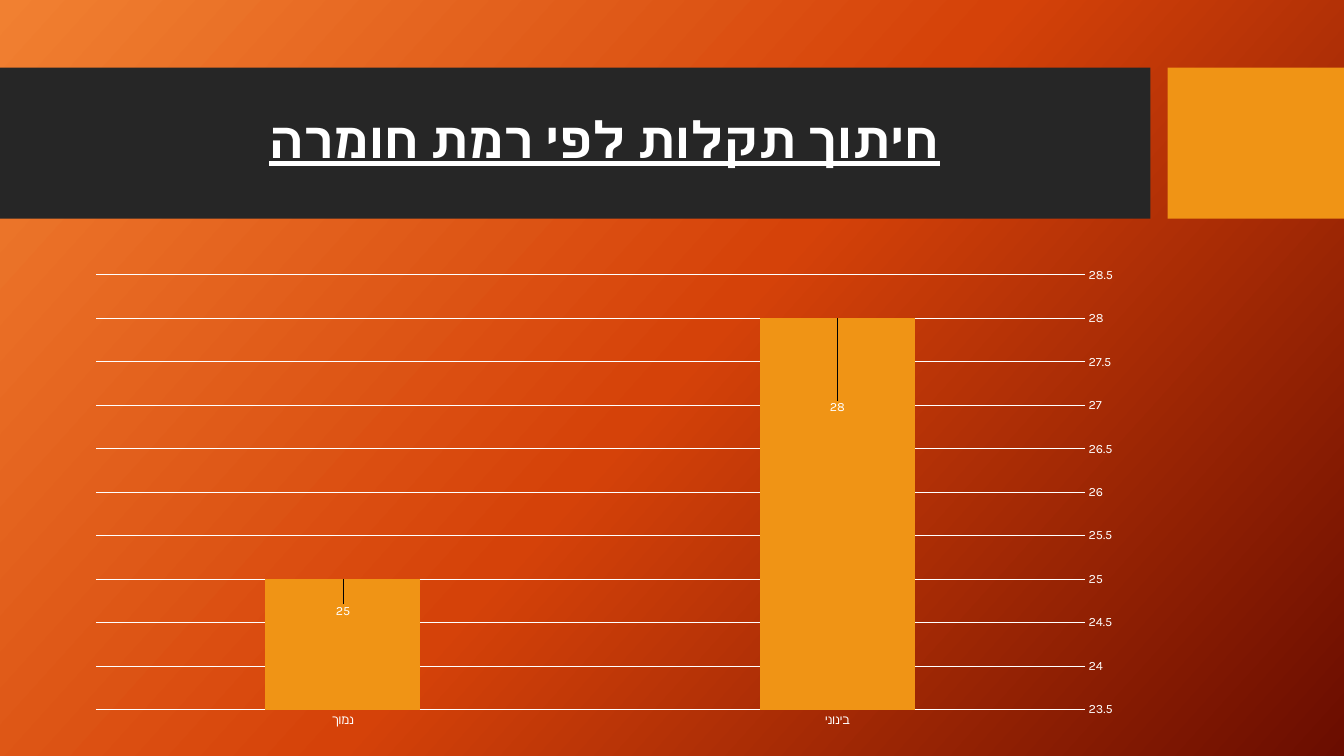
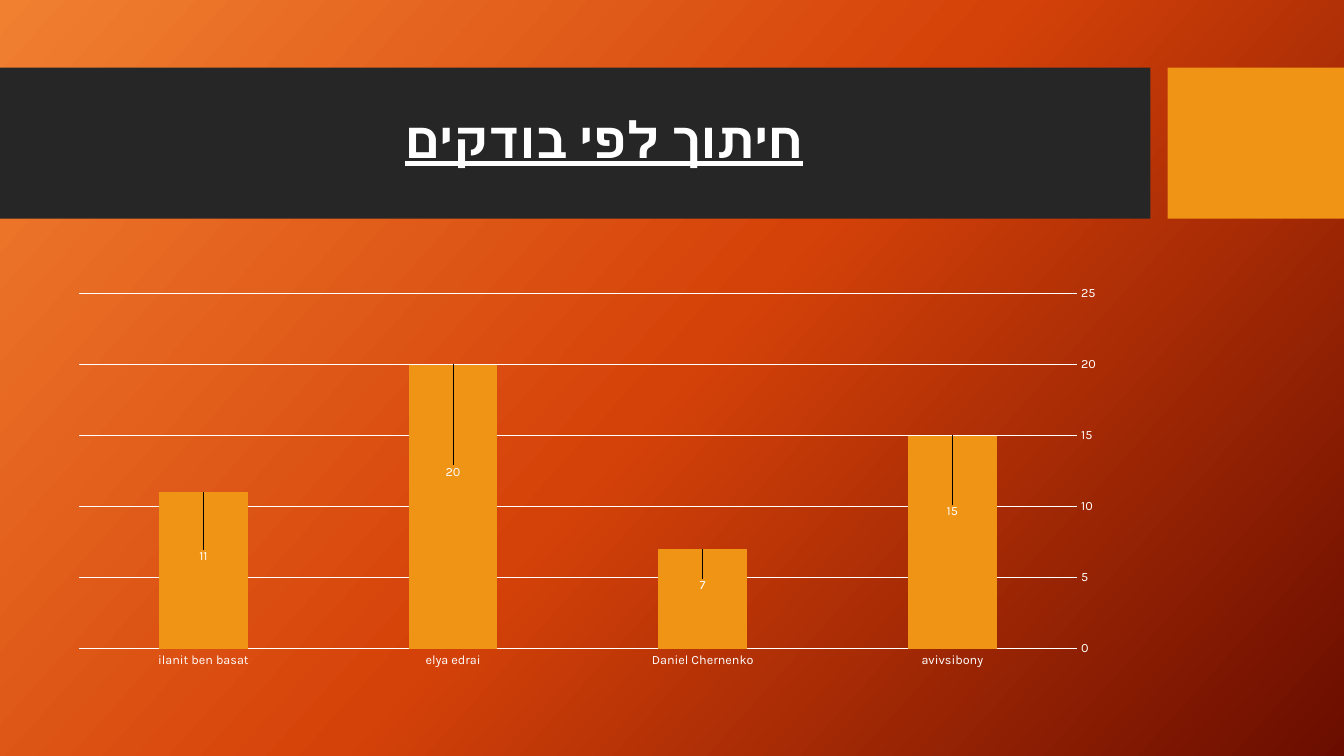
from copy import deepcopy
from dataclasses import dataclass

from lxml.etree import SubElement
from pptx import Presentation
from pptx.chart.data import CategoryChartData
from pptx.dml.color import RGBColor
from pptx.enum.chart import XL_CHART_TYPE, XL_LABEL_POSITION, XL_TICK_MARK
from pptx.enum.shapes import MSO_SHAPE
from pptx.enum.text import MSO_ANCHOR, PP_ALIGN
from pptx.oxml.ns import qn
from pptx.util import Inches, Pt


@dataclass(frozen=True)
class Theme:
    white = RGBColor.from_string("FFFFFF")
    band = RGBColor.from_string("262626")
    accent = RGBColor.from_string("F09415")
    gradient = ((0, "F18031"), (0.5, "D54209"), (1, "6A0D00"))
    title_font = "Calibri"
    chart_font = "Karla"
    title_size = Pt(36)
    chart_size = Pt(10)
    label_size = Pt(9)
    line_width = Pt(0.75)


theme = Theme()

# Title bands: left, width, colour
bands = ((0, 11.41, theme.band), (11.58, 1.75, theme.accent))

# Bars: category, value, label shift right and down as a share of the chart
slides = (
    {
        "title": "חיתוך תקלות לפי רמת חומרה",
        "frame": (0.74, 2.56, 10.51, 4.74),
        "bars": (("בינוני", 28, 0, 0.21), ("נמוך", 25, 0, 0.09)),
        "scale": (23.5, 28.5, 0.5),
        "gap": 219,
    },
    {
        "title": "חיתוך לפי בודקים",
        "frame": (0.57, 2.76, 10.51, 3.94),
        "bars": (
            ("avivsibony", 15, 0, 0.22),
            ("Daniel Chernenko", 7, 0, 0.12),
            ("elya edrai", 20, 0, 0.3),
            ("ilanit ben basat", 11, 0, 0.19),
        ),
        "scale": (0, 25, 5),
        "gap": 182,
    },
)


def style_font(font, name, size):
    font.name = name
    font.size = size
    font.color.rgb = theme.white


def style_line(line):
    line.color.rgb = theme.white
    line.width = theme.line_width


presentation = Presentation()
presentation.slide_width = Inches(13.33)
presentation.slide_height = Inches(7.5)

# Shared gradient background
master = presentation.slide_master
background = master.background.fill
background.gradient()
background.gradient_angle = 318
first_stop = next(master.element.iter(qn("a:gs")))
first_stop.addnext(deepcopy(first_stop))
for stop, (position, colour) in zip(background.gradient_stops, theme.gradient):
    stop.position = position
    stop.color.rgb = RGBColor.from_string(colour)

for content in slides:
    slide = presentation.slides.add_slide(presentation.slide_layouts[6])

    # Bands
    for left, width, colour in bands:
        band = slide.shapes.add_shape(
            MSO_SHAPE.RECTANGLE, Inches(left), Inches(0.67), Inches(width), Inches(1.5)
        )
        band.shadow.inherit = False
        band.fill.solid()
        band.fill.fore_color.rgb = colour
        band.line.fill.background()

    # Right-to-left title
    title = slide.shapes.add_textbox(
        Inches(0.74), Inches(0.82), Inches(10.51), Inches(1.18)
    )
    title.text_frame.word_wrap = True
    title.text_frame.vertical_anchor = MSO_ANCHOR.MIDDLE
    paragraph = title.text_frame.paragraphs[0]
    paragraph.text = content["title"]
    paragraph.alignment = PP_ALIGN.CENTER
    paragraph.line_spacing = 0.9
    style_font(paragraph.font, theme.title_font, theme.title_size)
    paragraph.font.bold = True
    paragraph.font.underline = True
    properties = next(title.element.iter(qn("a:pPr")))
    properties.set("rtl", "1")
    SubElement(properties.find(qn("a:defRPr")), qn("a:cs"), typeface=theme.title_font)

    # Column chart
    bars = content["bars"]
    data = CategoryChartData()
    data.categories = [bar[0] for bar in bars]
    data.add_series("Series 1", [bar[1] for bar in bars])
    frame = [Inches(length) for length in content["frame"]]
    chart = slide.shapes.add_chart(XL_CHART_TYPE.COLUMN_CLUSTERED, *frame, data).chart
    chart.has_title = False
    chart.has_legend = False
    style_font(chart.font, theme.chart_font, theme.chart_size)

    # Axes
    categories, values = chart.category_axis, chart.value_axis
    for axis in (categories, values):
        axis.major_tick_mark = XL_TICK_MARK.NONE
        axis.minor_tick_mark = XL_TICK_MARK.NONE
        style_font(axis.tick_labels.font, theme.chart_font, theme.label_size)
    categories.reverse_order = True
    style_line(categories.format.line)
    values.minimum_scale, values.maximum_scale, values.major_unit = content["scale"]
    values.format.line.fill.background()
    style_line(values.major_gridlines.format.line)

    # Columns
    plot = chart.plots[0]
    plot.gap_width = content["gap"]
    plot.vary_by_categories = False
    series = plot.series[0]
    series.format.fill.solid()
    series.format.fill.fore_color.rgb = theme.accent

    # Value labels, moved down into the columns
    for index in range(len(bars)):
        label = series.points[index].data_label
        style_font(label.font, theme.chart_font, theme.label_size)
        label.position = XL_LABEL_POSITION.OUTSIDE_END
    for element, bar in zip(chart.element.iter(qn("c:dLbl")), bars):
        layout = SubElement(element, qn("c:layout"))
        manual = SubElement(layout, qn("c:manualLayout"))
        for side, shift in zip("xy", bar[2:]):
            SubElement(manual, qn(f"c:{side}"), val=str(shift))
        element.find(qn("c:idx")).addnext(layout)

presentation.save("out.pptx")
